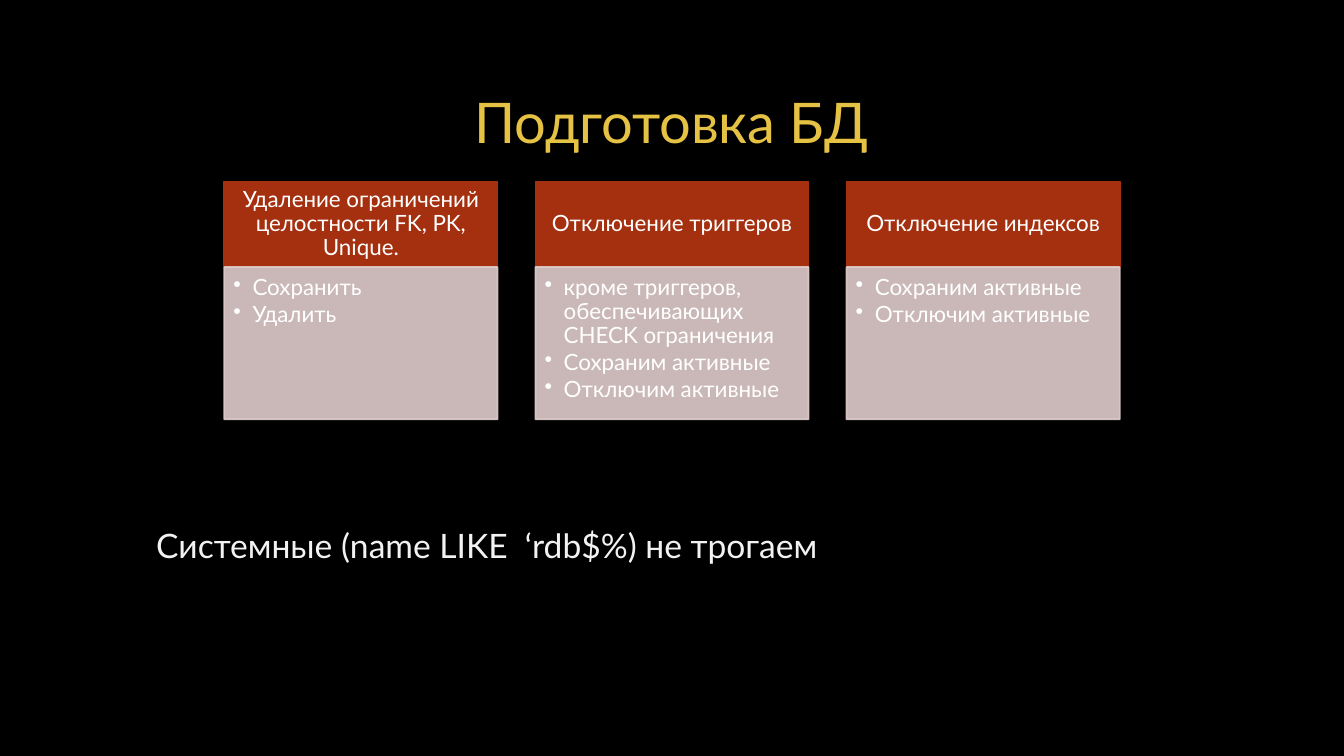
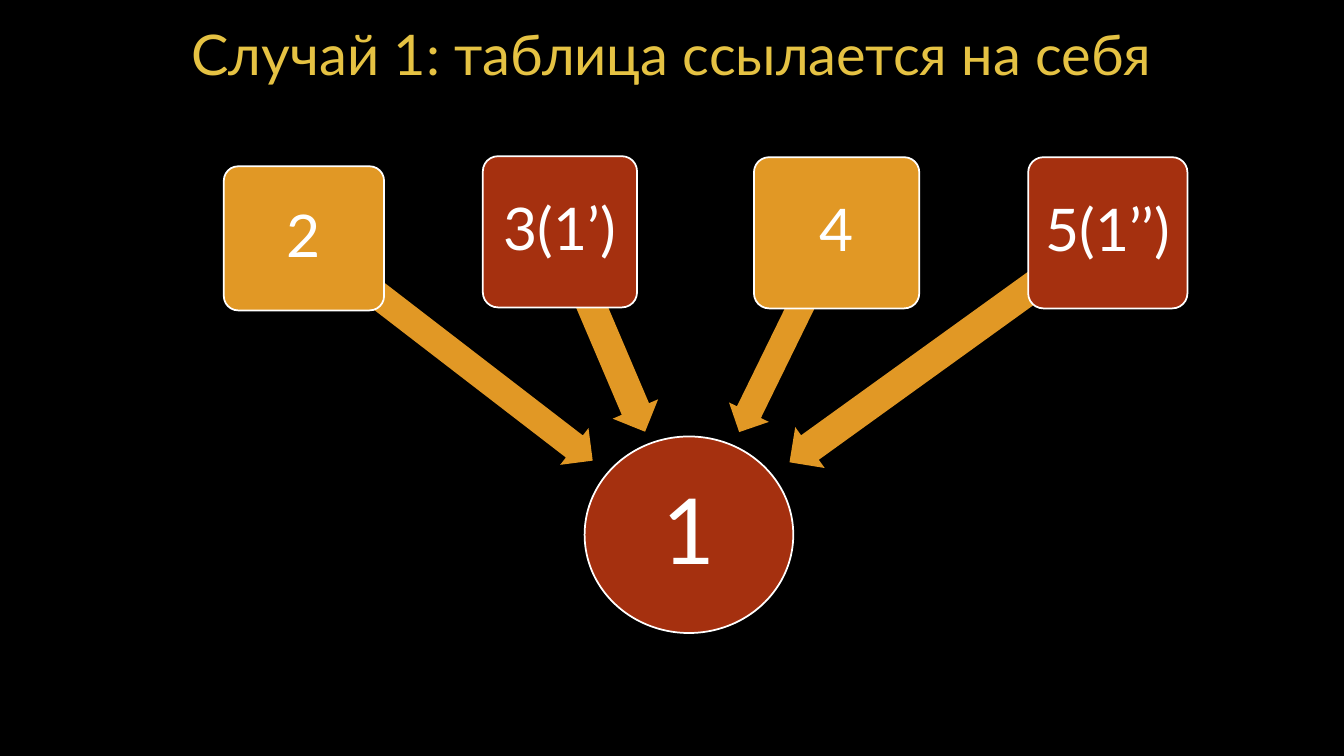
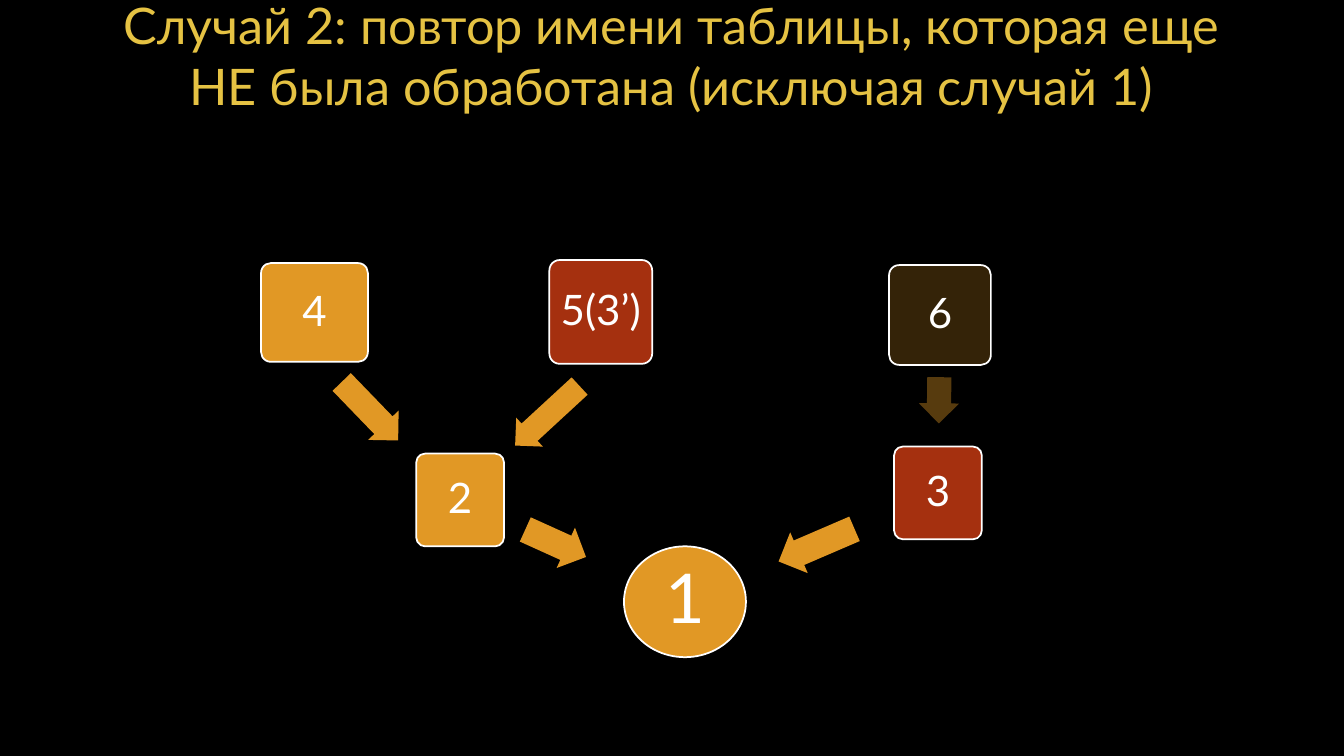
import math
from collections import namedtuple
from dataclasses import dataclass

import pptx
import pptx.dml.color
import pptx.enum.shapes
import pptx.enum.text
import pptx.oxml
import pptx.oxml.ns
import pptx.util

SHAPES = pptx.enum.shapes.MSO_SHAPE
ALIGN = pptx.enum.text.PP_ALIGN
ANCHOR = pptx.enum.text.MSO_ANCHOR
qn = pptx.oxml.ns.qn

CELL = pptx.util.Inches(0.1)
COLUMNS, ROWS = 133.33, 75

Box = namedtuple("Box", "column row width height")
Point = namedtuple("Point", "column row")


@dataclass(frozen=True)
class Theme:
    font: str = "Lato"
    background: str = "000000"
    title: str = "E5C243"
    note: str = "F2F2F2"
    white: str = "FFFFFF"
    red: str = "A5300F"
    orange: str = "E19825"
    pale: str = "E1CDCC"
    outline: float = 1.25
    title_size: int = 40
    long_title_size: int = 36
    note_size: int = 24
    card_size: int = 16


THEME = Theme()


def cells(*lengths):
    return [pptx.util.Emu(round(length * CELL)) for length in lengths]


def color(value):
    return pptx.dml.color.RGBColor.from_string(value)


def center(box):
    return Point(box.column + box.width / 2, box.row + box.height / 2)


def between(source, target, share):
    start, end = center(source), center(target)
    return Point(*(a + (b - a) * share for a, b in zip(start, end)))


def set_alpha(shape, location, percent):
    element = shape.element.spPr.find(location + qn("a:srgbClr"))
    alpha = pptx.oxml.parse_xml(
        f'<a:alpha {pptx.oxml.ns.nsdecls("a")} val="{percent * 1000}"/>')
    element.append(alpha)


def add_bullet(paragraph, indent):
    properties = paragraph._p.get_or_add_pPr()
    properties.set("marL", str(cells(indent)[0]))
    properties.set("indent", str(-cells(indent)[0]))
    properties.append(pptx.oxml.parse_xml(
        f'<a:buChar {pptx.oxml.ns.nsdecls("a")} char="•"/>'))


def write(shape, lines, size, text_color, align=ALIGN.CENTER, anchor=ANCHOR.MIDDLE,
          insets=(1, 0.5, 1, 0.5), spacing=0.9, after=0, bullet_indent=0):
    frame = shape.text_frame
    frame.text = "\n".join(lines)
    frame.word_wrap = True
    frame.auto_size = pptx.enum.text.MSO_AUTO_SIZE.NONE
    frame.vertical_anchor = anchor
    (frame.margin_left, frame.margin_top,
     frame.margin_right, frame.margin_bottom) = cells(*insets)
    for paragraph in frame.paragraphs:
        if bullet_indent:
            add_bullet(paragraph, bullet_indent)
        paragraph.alignment = align
        paragraph.line_spacing = spacing
        paragraph.space_before = pptx.util.Pt(0)
        paragraph.space_after = pptx.util.Pt(after)
        paragraph.font.name = THEME.font
        paragraph.font.size = pptx.util.Pt(size)
        paragraph.font.color.rgb = color(text_color)


def add_block(slide, kind, box, fill, line=None, fill_alpha=None, line_alpha=None):
    shape = slide.shapes.add_shape(kind, *cells(*box))
    shape.shadow.inherit = False
    shape.fill.solid()
    shape.fill.fore_color.rgb = color(fill)
    if line:
        shape.line.color.rgb = color(line)
        shape.line.width = pptx.util.Pt(THEME.outline)
    else:
        shape.line.fill.background()
    if fill_alpha:
        set_alpha(shape, qn("a:solidFill") + "/", fill_alpha)
    if line_alpha:
        set_alpha(shape, qn("a:ln") + "/" + qn("a:solidFill") + "/", line_alpha)
    return shape


def add_slide(presentation, title, row, height=10.6, size=THEME.title_size):
    slide = presentation.slides.add_slide(presentation.slide_layouts[5])
    shape = slide.shapes.title
    shape.left, shape.top, shape.width, shape.height = cells(10, row, 113.2, height)
    write(shape, [title], size, THEME.title, spacing=1)
    return slide


def add_card(slide, column, heading, items):
    width, top, heading_height = 27.1, 18, 8.5
    header = add_block(slide, SHAPES.RECTANGLE, Box(column, top, width, heading_height),
                       THEME.red, THEME.red)
    write(header, [heading], THEME.card_size, THEME.white, insets=(1.2, 0.7, 1.2, 0.7))
    body = add_block(slide, SHAPES.RECTANGLE,
                     Box(column, top + heading_height, width, 15.1),
                     THEME.pale, THEME.pale, fill_alpha=90, line_alpha=90)
    write(body, items, THEME.card_size, THEME.white, ALIGN.LEFT, ANCHOR.TOP,
          insets=(0.9, 0.9, 1.2, 1.4), after=2, bullet_indent=1.9)


def add_node(slide, box, text, fill, size, inset, kind=SHAPES.ROUNDED_RECTANGLE,
             fill_alpha=None):
    node = add_block(slide, kind, box, fill, THEME.white, fill_alpha)
    if kind == SHAPES.ROUNDED_RECTANGLE:
        node.adjustments[0] = 0.1
    write(node, [text], size, THEME.white, insets=[inset] * 4)


def add_arrow(slide, tail, tip, thickness, fill_alpha=None):
    across, down = tip.column - tail.column, tip.row - tail.row
    length = math.hypot(across, down)
    box = Box((tail.column + tip.column - length) / 2,
              (tail.row + tip.row - thickness) / 2, length, thickness)
    arrow = add_block(slide, SHAPES.RIGHT_ARROW, box, THEME.orange, fill_alpha=fill_alpha)
    arrow.adjustments[0], arrow.adjustments[1] = 0.6, 0.5
    arrow.rotation = math.degrees(math.atan2(down, across)) % 360


def build_preparation(presentation):
    slide = add_slide(presentation, "Подготовка БД", row=6.7)
    cards = [
        ("Удаление ограничений целостности FK, PK, Unique.", ["Сохранить", "Удалить"]),
        ("Отключение триггеров",
         ["кроме триггеров, обеспечивающих CHECK ограничения",
          "Сохраним активные", "Отключим активные"]),
        ("Отключение индексов", ["Сохраним активные", "Отключим активные"]),
    ]
    for index, (heading, items) in enumerate(cards):
        add_card(slide, 22.25 + 30.87 * index, heading, items)
    note = slide.shapes.add_textbox(*cells(14.5, 52.1, 110.9, 4))
    write(note, ["Системные (name LIKE  ‘rdb$%) не трогаем"], THEME.note_size,
          THEME.note, ALIGN.LEFT, spacing=1)


def build_self_reference(presentation):
    slide = add_slide(presentation, "Случай 1: таблица ссылается на себя", row=0)
    hub = Box(58, 43.3, 20.7, 19.5)
    add_node(slide, hub, "1", THEME.red, 65, 0.5, SHAPES.OVAL)
    nodes = [
        (Box(22.2, 16.5, 15.9, 14.3), "2", THEME.orange, 0.75, 4.6),
        (Box(47.9, 15.5, 15.3, 15), "3(1’)", THEME.red, 0.66, 4.9),
        (Box(74.8, 15.6, 16.4, 15), "4", THEME.orange, 0.66, 4.4),
        (Box(102, 15.6, 15.8, 15), "5(1’’)", THEME.red, 0.76, 5),
    ]
    for box, text, fill, reach, thickness in nodes:
        add_arrow(slide, center(box), between(box, hub, reach), thickness)
        add_node(slide, box, text, fill, 42, 0.9)


def build_repeated_name(presentation):
    slide = add_slide(
        presentation,
        "Случай 2: повтор имени таблицы, которая еще НЕ была обработана (исключая случай 1)",
        row=1.6, height=7.7, size=THEME.long_title_size)
    hub = Box(61.9, 54.2, 12.1, 11)
    left = Box(41.3, 45, 8.7, 9.2)
    right = Box(88.7, 44.3, 8.7, 9.2)
    last = Box(88.2, 26.3, 10.1, 9.9)
    add_node(slide, hub, "1", THEME.orange, 49, 0.3, SHAPES.OVAL)
    nodes = [
        (left, "2", THEME.orange, None),
        (right, "3", THEME.red, None),
        (Box(25.9, 26.1, 10.6, 9.8), "4", THEME.orange, None),
        (last, "6", THEME.orange, 23),
        (Box(54.5, 25.8, 10.2, 10.3), "5(3’)", THEME.red, None),
    ]
    for box, text, fill, alpha in nodes:
        add_node(slide, box, text, fill, 30, 0.6, fill_alpha=alpha)
    arrows = [
        (between(left, hub, 0.29), between(left, hub, 0.56), 4.4, None),
        (between(right, hub, 0.33), between(right, hub, 0.63), 4.4, None),
        (between(last, right, 0.35), between(last, right, 0.61), 4, 39),
        (Point(33.9, 37.9), Point(39.5, 43.7), 4.2, None),
        (Point(57.5, 38.3), Point(51.1, 44.2), 3.9, None),
    ]
    for arrow in arrows:
        add_arrow(slide, *arrow)


def main():
    presentation = pptx.Presentation()
    presentation.slide_width, presentation.slide_height = cells(COLUMNS, ROWS)
    background = presentation.slide_master.background.fill
    background.solid()
    background.fore_color.rgb = color(THEME.background)
    build_preparation(presentation)
    build_self_reference(presentation)
    build_repeated_name(presentation)
    presentation.save("out.pptx")


if __name__ == "__main__":
    main()
